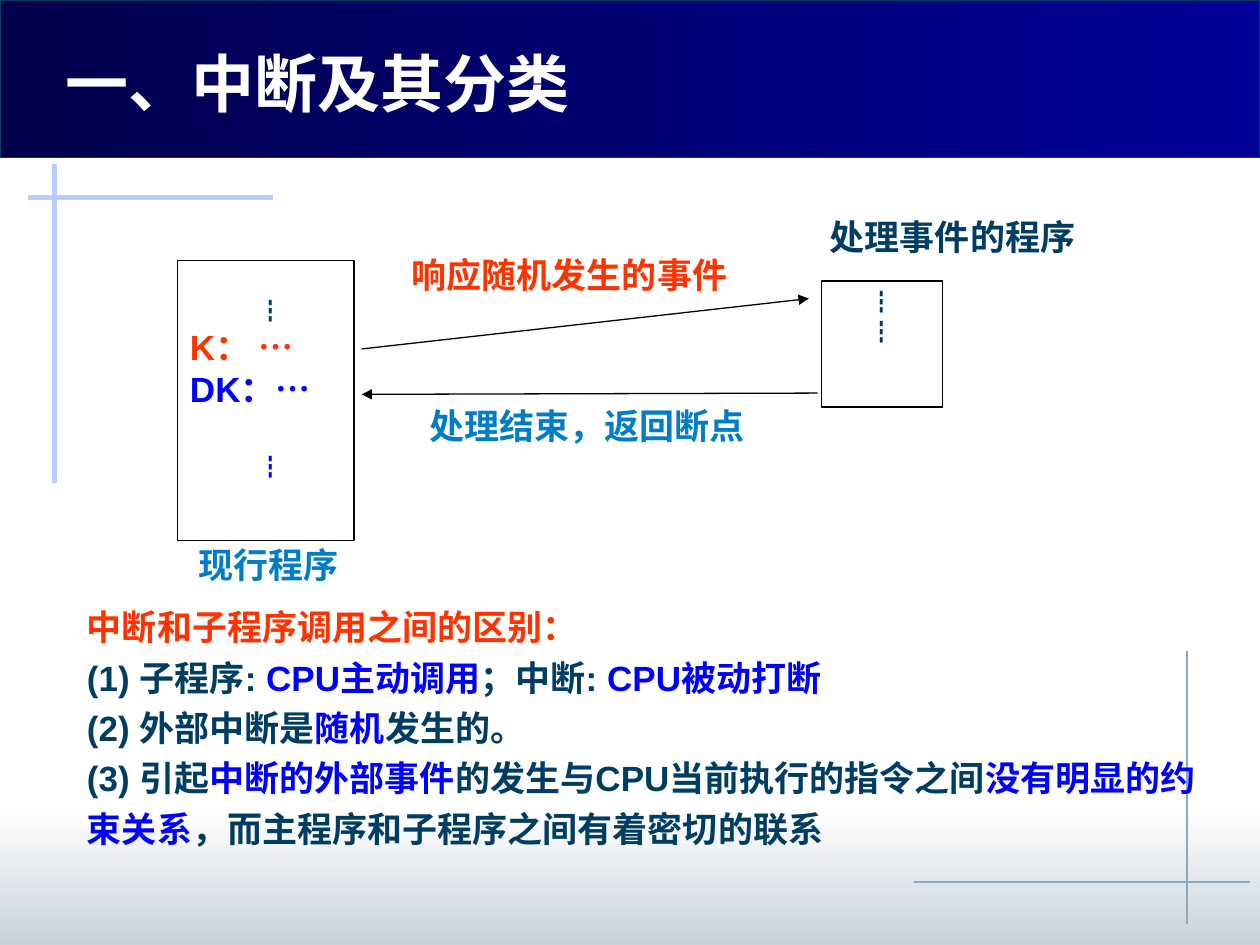
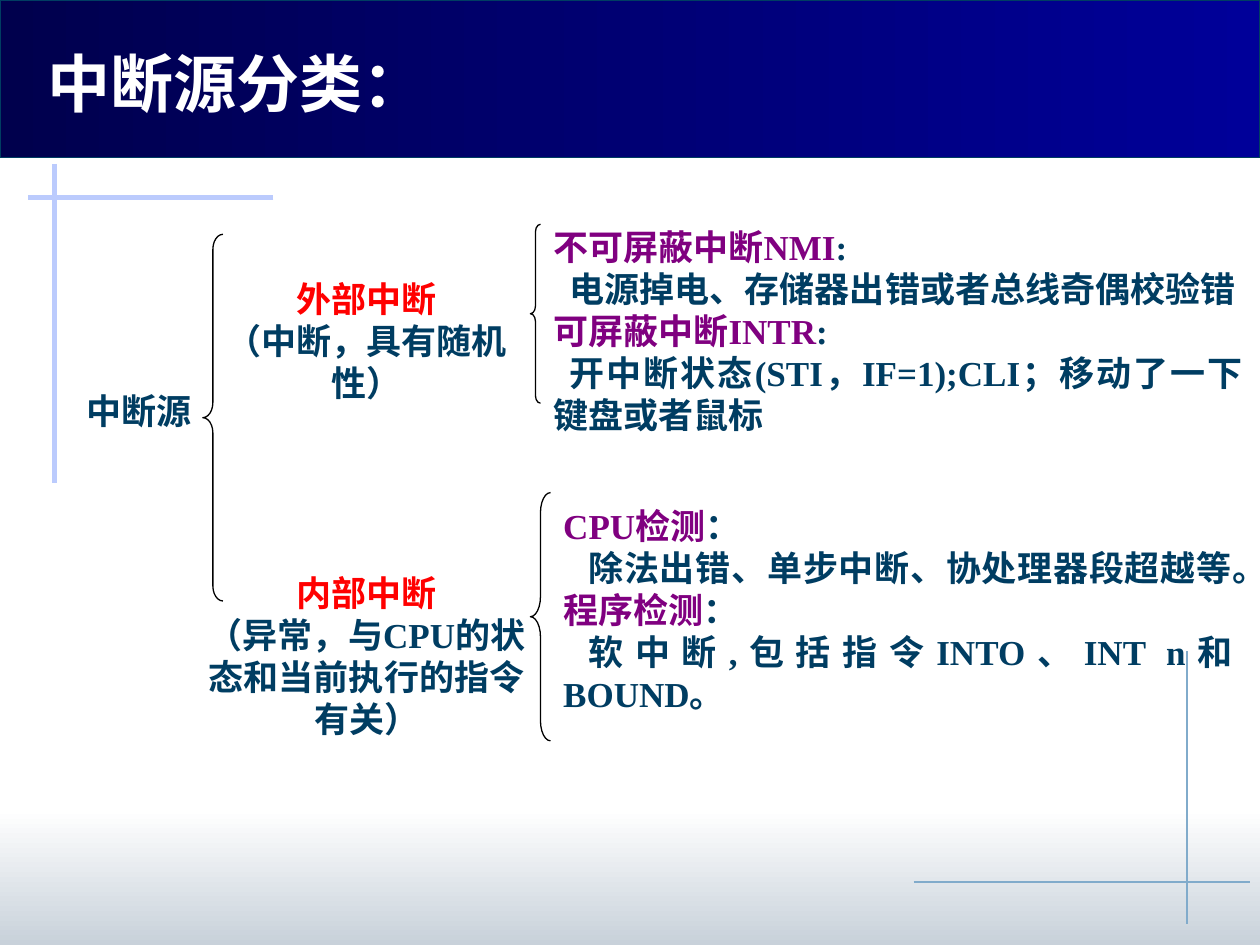
import pptx
import pptx.util
import pptx.dml.color
import pptx.enum.shapes
import pptx.enum.text
import pptx.oxml.ns
import pptx.oxml.xmlchemy

Inches, Pt = pptx.util.Inches, pptx.util.Pt
SHAPE = pptx.enum.shapes.MSO_SHAPE
ALIGN = pptx.enum.text.PP_ALIGN
ANCHOR = pptx.enum.text.MSO_ANCHOR
qn = pptx.oxml.ns.qn
new_element = pptx.oxml.xmlchemy.OxmlElement


class Theme:
    navy, blue, sky = "003D62", "0000FF", "007DC9"
    orange, red, purple = "FF3300", "FF0000", "800080"
    white, black = "FFFFFF", "000000"
    cross, corner = "BBCBFD", "81ABCB"
    band, footer = ("00004D", "000099"), ("FFFFFF", "C8D1DA")
    sans, serif = "Arial", "Times New Roman"
    cjk, title_font = "Noto Sans CJK SC", "Noto Sans CJK JP"
    title, text, dots = 36, 20, 14
    leading = 1.2
    thin, thick = 0.75, 3
    tight, roomy = (0.02, 0.01, 0.02, 0.01), (0.1, 0.05, 0.1, 0.05)


T = Theme
W, H = 10, 7.5

# ---- Content: a paragraph is (runs, format); a run is (text, colour) ----
TITLES = ["一、中断及其分类", "中断源分类："]
TITLE_LEFT = [0.42, 0.28]

DOTS = dict(size=T.dots, font=T.cjk, align=ALIGN.CENTER)
CURRENT_PROGRAM = [
    ([("┇", T.navy)], dict(DOTS, left=0.08)),
    ([("K： …", T.orange)], dict(align=ALIGN.JUSTIFY)),
    ([("DK：…", T.blue)], dict(align=ALIGN.JUSTIFY)),
    ([("┇", T.blue)], dict(DOTS, left=0.08, before=24)),
]
HANDLER = [([("┇", T.navy)], dict(DOTS, bold=False))] * 2

PROGRAMS = [  # box, insets, paragraphs
    ((1.41, 2.07, 1.4, 2.22), (0.1, 0.28, 0.1, 0.05), CURRENT_PROGRAM),
    ((6.52, 2.23, 0.96, 1), T.roomy, HANDLER),
]
ARROWS = [(2.87, 2.77, 6.42, 2.37), (6.49, 3.12, 2.87, 3.13)]
LABELS = [
    ("响应随机发生的事件", T.orange, (2.91, 2, 3.22, 0.5)),
    ("处理结束，返回断点", T.sky, (3.11, 3.2, 3.1, 0.53)),
    ("处理事件的程序", T.navy, (6.42, 1.7, 2.28, 0.5)),
    ("现行程序", T.sky, (1.38, 4.3, 1.5, 0.55)),
]
DIFFERENCES = [
    [("中断和子程序调用之间的区别：", T.orange)],
    [("(1) 子程序:", T.navy), (" CPU主动调用", T.blue),
     ("；中断: ", T.navy), ("CPU被动打断", T.blue)],
    [("(2) 外部中断是", T.navy), ("随机", T.blue), ("发生的。", T.navy)],
    [("(3) 引起", T.navy), ("中断的外部事件", T.blue),
     ("的发生与CPU当前执行的指令之间", T.navy), ("没有明显的约束关系", T.blue),
     ("，而主程序和子程序之间有着密切的联系", T.navy)],
]

KINDS = [
    ([("外部中断", T.red)], {}),
    ([("（中断，具有随机性）", T.navy)], {}),
    ([("内部中断", T.red)], dict(before=96)),
    ([("（异常，与CPU的状态和当前执行的指令有关）", T.navy)], dict(font=T.serif)),
]
SOURCES = [  # box, first-line indent, (heading, colon, detail)
    ((4.37, 1.78, 5.51, 2.05), 0.13, [
        ("不可屏蔽中断NMI", ":", "电源掉电、存储器出错或者总线奇偶校验错"),
        ("可屏蔽中断INTR", ":", "开中断状态(STI，IF=1);CLI；移动了一下键盘或者鼠标")]),
    ((4.45, 3.99, 5.35, 2.13), 0.2, [
        ("CPU检测", "：", "除法出错、单步中断、协处理器段超越等。"),
        ("程序检测", "：", "软中断,包括指令INTO、INT n和BOUND。")]),
]
BRACES = [  # box, curl
    ((1.61, 1.86, 0.16, 2.91), 0.75),
    ((4.21, 1.78, 0.08, 1.42), 0.75),
    ((4.21, 3.91, 0.16, 1.97), 1),
]


# ---- Helpers ----
def rgb(color):
    return pptx.dml.color.RGBColor.from_string(color)


def place(sp, box):
    sp.left, sp.top, sp.width, sp.height = map(Inches, box)


def write_paragraph(p, runs, size=T.text, font=T.sans, cjk=T.cjk, bold=True,
                    align=ALIGN.LEFT, leading=T.leading, before=0, left=0, indent=0):
    pPr = p._p.get_or_add_pPr()
    pPr.set("marL", str(Inches(left)))
    pPr.set("indent", str(Inches(indent)))
    pPr.append(new_element("a:buNone"))
    p.alignment = align
    p.line_spacing = Pt(round(size * leading, 1))
    p.space_before, p.space_after = Pt(before), Pt(0)
    for text, color in runs:
        r = p.add_run()
        r.text = text
        r.font.size, r.font.bold, r.font.name = Pt(size), bold, font
        r.font.color.rgb = rgb(color)
        ea = new_element("a:ea")
        ea.set("typeface", cjk)
        r._r.get_or_add_rPr().append(ea)


def write(sp, paragraphs, insets=T.tight, anchor=ANCHOR.TOP, **common):
    tf = sp.text_frame
    tf.word_wrap, tf.auto_size = True, pptx.enum.text.MSO_AUTO_SIZE.NONE
    tf.vertical_anchor = anchor
    tf.margin_left, tf.margin_top, tf.margin_right, tf.margin_bottom = map(Inches, insets)
    for i, (runs, style) in enumerate(paragraphs):
        p = tf.add_paragraph() if i else tf.paragraphs[0]
        write_paragraph(p, runs, **{**common, **style})


def add_text(slide, box, paragraphs, **style):
    sp = slide.shapes.add_textbox(*map(Inches, box))
    write(sp, paragraphs, **style)


def add_shape(slide, kind, box, fill=None, line=None):
    sp = slide.shapes.add_shape(kind, *map(Inches, box))
    sp.shadow.inherit = False
    if fill:
        sp.fill.solid()
        sp.fill.fore_color.rgb = rgb(fill)
    else:
        sp.fill.background()
    if line:
        sp.line.color.rgb, sp.line.width = rgb(line), Pt(T.thin)
    else:
        sp.line.fill.background()
    return sp


def add_gradient(slide, box, colors, angle, line=None):
    sp = add_shape(slide, SHAPE.RECTANGLE, box, line=line)
    sp.fill.gradient()
    sp.fill.gradient_angle = angle
    for stop, color in zip(sp.fill.gradient_stops, colors):
        stop.color.rgb = rgb(color)
    return sp


def add_line(slide, ends, color, width=T.thin, arrow=False):
    cx = slide.shapes.add_connector(
        pptx.enum.shapes.MSO_CONNECTOR.STRAIGHT, *map(Inches, ends))
    cx.line.color.rgb, cx.line.width = rgb(color), Pt(width)
    if arrow:
        tail = new_element("a:tailEnd")
        tail.set("type", "triangle")
        cx.line._get_or_add_ln().append(tail)
    cx._element.spPr.append(new_element("a:effectLst"))
    return cx


def add_frame(prs, slide):
    """Draw the shared bands and crosses, then move them to the master."""
    parts = [
        add_gradient(slide, (0, 6.42, W, H - 6.42), T.footer, 270),
        add_line(slide, (9.42, 5.17, 9.42, 7.33), T.corner),
        add_line(slide, (2.17, 1.57, 0.22, 1.57), T.cross, T.thick),
        add_line(slide, (0.43, 1.3, 0.43, 3.83), T.cross, T.thick),
        add_gradient(slide, (0, 0, W, H / 6), T.band, 0, T.navy),
        add_line(slide, (7.25, 7, 9.92, 7), T.corner),
    ]
    tree = prs.slide_master.shapes.element
    for i, part in enumerate(parts):
        next(part._element.iter(qn("p:cNvPr"))).set("id", str(100 + i))
        tree.insert(2 + i, part._element)


def add_slide(prs, layout, number):
    slide = prs.slides.add_slide(prs.slide_layouts[layout])
    title = slide.shapes.title
    place(title, (TITLE_LEFT[number], 0.28, 7.89, 0.72))
    write(title, [([(TITLES[number], T.white)], {})], insets=T.roomy,
          anchor=ANCHOR.BOTTOM, size=T.title, font=T.title_font, cjk=T.title_font)
    return slide


# ---- Slides ----
def build_interrupt_flow(slide):
    for box, insets, paragraphs in PROGRAMS:
        sp = add_shape(slide, SHAPE.RECTANGLE, box, T.white, T.black)
        write(sp, paragraphs, insets=insets)
    for ends in ARROWS:
        add_line(slide, ends, T.black, arrow=True)
    for text, color, box in LABELS:
        add_text(slide, box, [([(text, color)], {})], align=ALIGN.CENTER)
    body = slide.placeholders[1]
    place(body, (0.59, 4.69, 9.14, 2.1))
    write(body, [(runs, {}) for runs in DIFFERENCES], insets=T.roomy,
          anchor=ANCHOR.MIDDLE, leading=T.leading * 1.2)


def build_source_tree(slide):
    for box, curl in BRACES:
        brace = add_shape(slide, SHAPE.LEFT_BRACE, box, line=T.black)
        brace.adjustments[0] = curl
    add_text(slide, (0.59, 3.04, 1.1, 0.44), [([("中断源", T.navy)], {})], insets=T.roomy)
    add_text(slide, (1.61, 2.19, 2.6, 3.77), KINDS, align=ALIGN.CENTER)
    for idx, (box, indent, groups) in enumerate(SOURCES, start=1):
        paragraphs = []
        for heading, colon, detail in groups:
            paragraphs += [([(heading, T.purple), (colon, T.navy)], {}),
                           ([(detail, T.navy)], dict(indent=indent))]
        body = slide.placeholders[idx]
        place(body, box)
        write(body, paragraphs, font=T.serif, align=ALIGN.JUSTIFY)


def main():
    prs = pptx.Presentation()
    prs.slide_width, prs.slide_height = Inches(W), Inches(H)
    flow = add_slide(prs, 1, 0)
    add_frame(prs, flow)
    build_interrupt_flow(flow)
    build_source_tree(add_slide(prs, 3, 1))
    prs.save("out.pptx")


if __name__ == "__main__":
    main()
